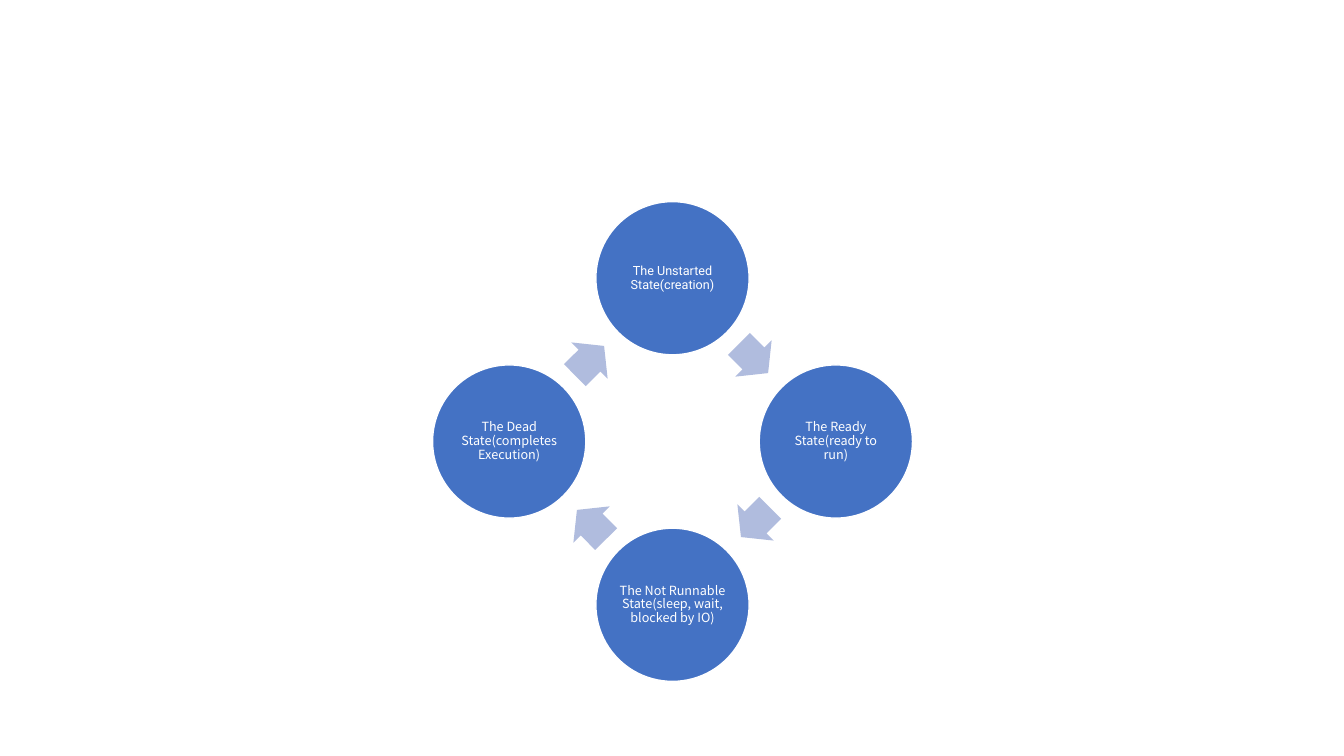
from dataclasses import dataclass
from math import cos, radians, sin

from pptx import Presentation
from pptx.dml.color import RGBColor
from pptx.enum.shapes import MSO_SHAPE as Shape
from pptx.enum.text import MSO_ANCHOR as Anchor, PP_ALIGN as Align
from pptx.util import Inches, Pt


@dataclass(frozen=True)
class Theme:
    circle: RGBColor = RGBColor(0x44, 0x72, 0xC4)
    arrow: RGBColor = RGBColor(0xB0, 0xBC, 0xDE)
    white: RGBColor = RGBColor(0xFF, 0xFF, 0xFF)
    label_size: Pt = Pt(9)
    outline: Pt = Pt(1)
    latin_font: str = "Roboto"
    wide_font: str = "Noto Sans CJK KR"


class CyclePage:
    def __init__(self, deck, theme):
        self.theme = theme
        self.page = deck.slides.add_slide(deck.slide_layouts[6])

    def add_centred(self, kind, x, y, width, height, colour):
        shape = self.page.shapes.add_shape(
            kind, Inches(x - width / 2), Inches(y - height / 2), Inches(width), Inches(height)
        )
        shape.shadow.inherit = False
        shape.fill.solid()
        shape.fill.fore_color.rgb = colour
        return shape

    def add_state(self, x, y, diameter, label, font):
        circle = self.add_centred(Shape.OVAL, x, y, diameter, diameter, self.theme.circle)
        circle.line.color.rgb = self.theme.white
        circle.line.width = self.theme.outline
        frame = circle.text_frame
        frame.word_wrap = True
        frame.vertical_anchor = Anchor.MIDDLE
        frame.margin_left = frame.margin_right = Inches(0.01)
        frame.margin_top = frame.margin_bottom = Inches(0.01)
        para = frame.paragraphs[0]
        para.alignment = Align.CENTER
        para.line_spacing = 0.9
        span = para.add_run()
        span.text = label
        span.font.name = font
        span.font.size = self.theme.label_size
        span.font.color.rgb = self.theme.white

    def add_arrow(self, x, y, width, height, rotation):
        arrow = self.add_centred(Shape.RIGHT_ARROW, x, y, width, height, self.theme.arrow)
        arrow.line.fill.background()
        arrow.adjustments[0] = 0.6
        arrow.adjustments[1] = 0.5
        arrow.rotation = rotation


def main():
    deck = Presentation()
    deck.slide_width = Inches(13.33)
    deck.slide_height = Inches(7.5)
    theme = Theme()
    cycle = CyclePage(deck, theme)

    centre_x, centre_y = 6.67, 4.38
    state_radius = 1.62
    arrow_radius = 1.15
    arrow_lead = 0.7
    states = [
        ("The Unstarted State(creation)", theme.latin_font),
        ("The Ready State(ready to run)", theme.wide_font),
        ("The Not Runnable State(sleep, wait, blocked by IO)", theme.wide_font),
        ("The Dead State(completes Execution)", theme.wide_font),
    ]
    step = 360 / len(states)

    def on_ring(radius, degrees):
        angle = radians(degrees)
        return centre_x + radius * sin(angle), centre_y - radius * cos(angle)

    for index, (label, font) in enumerate(states):
        turn = index * step
        halfway = turn + step / 2
        cycle.add_state(*on_ring(state_radius, turn), 1.52, label, font)
        cycle.add_arrow(*on_ring(arrow_radius, halfway - arrow_lead), 0.41, 0.51, halfway)

    deck.save("out.pptx")


if __name__ == "__main__":
    main()
